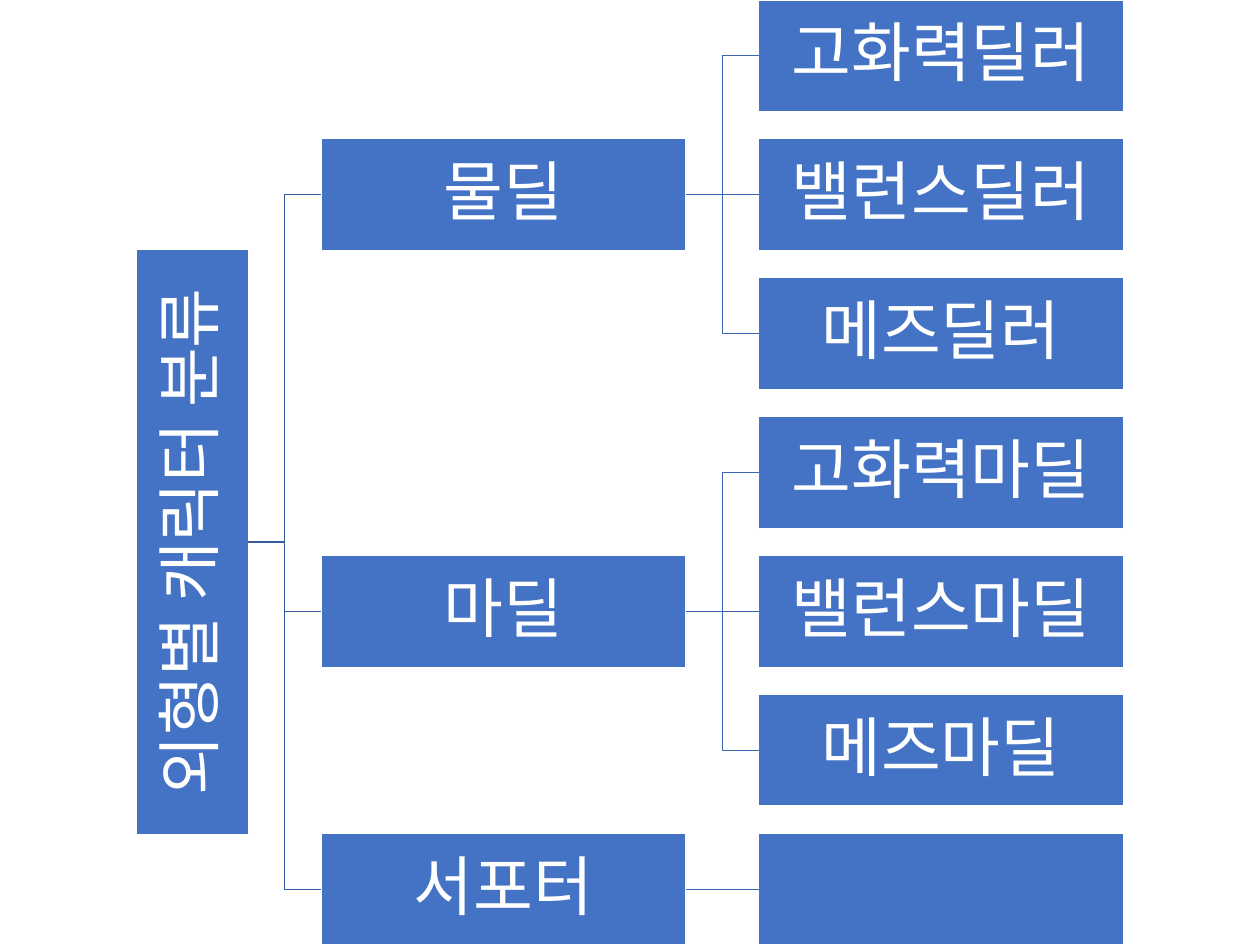
from lxml.etree import SubElement
from pptx import Presentation
from pptx.dml.color import RGBColor
from pptx.enum.shapes import MSO_CONNECTOR as Link, MSO_SHAPE as Preset
from pptx.enum.text import MSO_ANCHOR as Anchor, PP_ALIGN as Align
from pptx.oxml.ns import qn
from pptx.util import Inches, Pt

COLORS = {"box": "4472C4", "edge": "FFFFFF", "text": "FFFFFF",
          "root_link": "365B9D", "leaf_link": "3E67B2"}
WIDTH, HEIGHT = Inches(14), Inches(10.5)
ROWS = 7
BOX_HEIGHT = Inches(1.24)
BOX_WIDTH = Inches(4.05)
ROOT_LENGTH = Inches(6.5)
PITCH = (HEIGHT - BOX_HEIGHT) / (ROWS - 1)
COLUMN_GAP = Inches(0.81)
ROOT_LEFT = Inches(1.52)
BRANCH_LEFT = ROOT_LEFT + BOX_HEIGHT + COLUMN_GAP
LEAF_LEFT = BRANCH_LEFT + BOX_WIDTH + COLUMN_GAP
ROOT_TEXT = "외형별 캐릭터 분류"
BRANCHES = [
    ("물딜", 1, ["고화력딜러", "밸런스딜러", "메즈딜러"]),
    ("마딜", 4, ["고화력마딜", "밸런스마딜", "메즈마딜"]),
    ("서포터", 6, [""]),
]


def color(name):
    """Return the named colour."""
    return RGBColor.from_string(COLORS[name])


def row_middle(row):
    """Return the vertical middle of a row."""
    return round(row * PITCH + BOX_HEIGHT / 2)


def add_box(page, text, left, row, width=BOX_WIDTH, rotation=0):
    """Add a filled box centred on a row, with its label."""
    top = row_middle(row) - BOX_HEIGHT // 2
    box = page.shapes.add_shape(Preset.RECTANGLE, left, top, width, BOX_HEIGHT)
    box.rotation = rotation
    box.shadow.inherit = False
    box.fill.solid()
    box.fill.fore_color.rgb = color("box")
    box.line.color.rgb = color("edge")
    box.line.width = Pt(1)
    if text:
        add_label(box.text_frame, text)
    return box


def add_label(frame, text):
    """Write centred text into a box."""
    frame.word_wrap = True
    frame.vertical_anchor = Anchor.MIDDLE
    frame.margin_left = frame.margin_right = Inches(0.04)
    frame.margin_top = frame.margin_bottom = Inches(0.04)
    para = frame.paragraphs[0]
    para.alignment = Align.CENTER
    para.line_spacing = 0.9
    span = para.add_run()
    span.text = text
    span.font.size = Pt(52)
    span.font.name = "Calibri"
    span.font.color.rgb = color("text")


def style_link(link, color_name):
    """Give a link its colour and width."""
    link.line.color.rgb = color(color_name)
    link.line.width = Pt(1)


def add_elbow(page, left, start_row, end_row, color_name):
    """Add a stepped link across a column gap."""
    start, end = row_middle(start_row), row_middle(end_row)
    middle, right = left + COLUMN_GAP // 2, left + COLUMN_GAP
    builder = page.shapes.build_freeform(left, start)
    builder.add_line_segments([(middle, start), (middle, end), (right, end)],
                              close=False)
    elbow = builder.convert_to_shape()
    elbow.shadow.inherit = False
    elbow.fill.background()
    style_link(elbow, color_name)


def add_straight(page, source, target):
    """Join the facing sides of two boxes on one row."""
    line = page.shapes.add_connector(Link.STRAIGHT, 0, 0, 0, 0)
    line.begin_connect(source, 3)
    line.end_connect(target, 1)
    SubElement(line.element.spPr, qn("a:effectLst"))
    style_link(line, "leaf_link")


def add_branch(page, text, row, leaves):
    """Add a branch box with its leaves and links."""
    branch = add_box(page, text, BRANCH_LEFT, row)
    first = row - len(leaves) // 2
    for leaf_row, leaf_text in enumerate(leaves, first):
        leaf = add_box(page, leaf_text, LEAF_LEFT, leaf_row)
        if leaf_row == row:
            add_straight(page, branch, leaf)
        else:
            add_elbow(page, BRANCH_LEFT + BOX_WIDTH, row, leaf_row, "leaf_link")


def main():
    """Build the character classification tree."""
    deck = Presentation()
    deck.slide_width, deck.slide_height = WIDTH, HEIGHT
    page = deck.slides.add_slide(deck.slide_layouts[6])
    root_row = (BRANCHES[0][1] + BRANCHES[-1][1]) / 2
    root_left = ROOT_LEFT - (ROOT_LENGTH - BOX_HEIGHT) // 2
    add_box(page, ROOT_TEXT, root_left, root_row, ROOT_LENGTH, 270)
    for text, row, leaves in BRANCHES:
        add_elbow(page, ROOT_LEFT + BOX_HEIGHT, root_row, row, "root_link")
        add_branch(page, text, row, leaves)
    deck.save("out.pptx")


if __name__ == "__main__":
    main()
